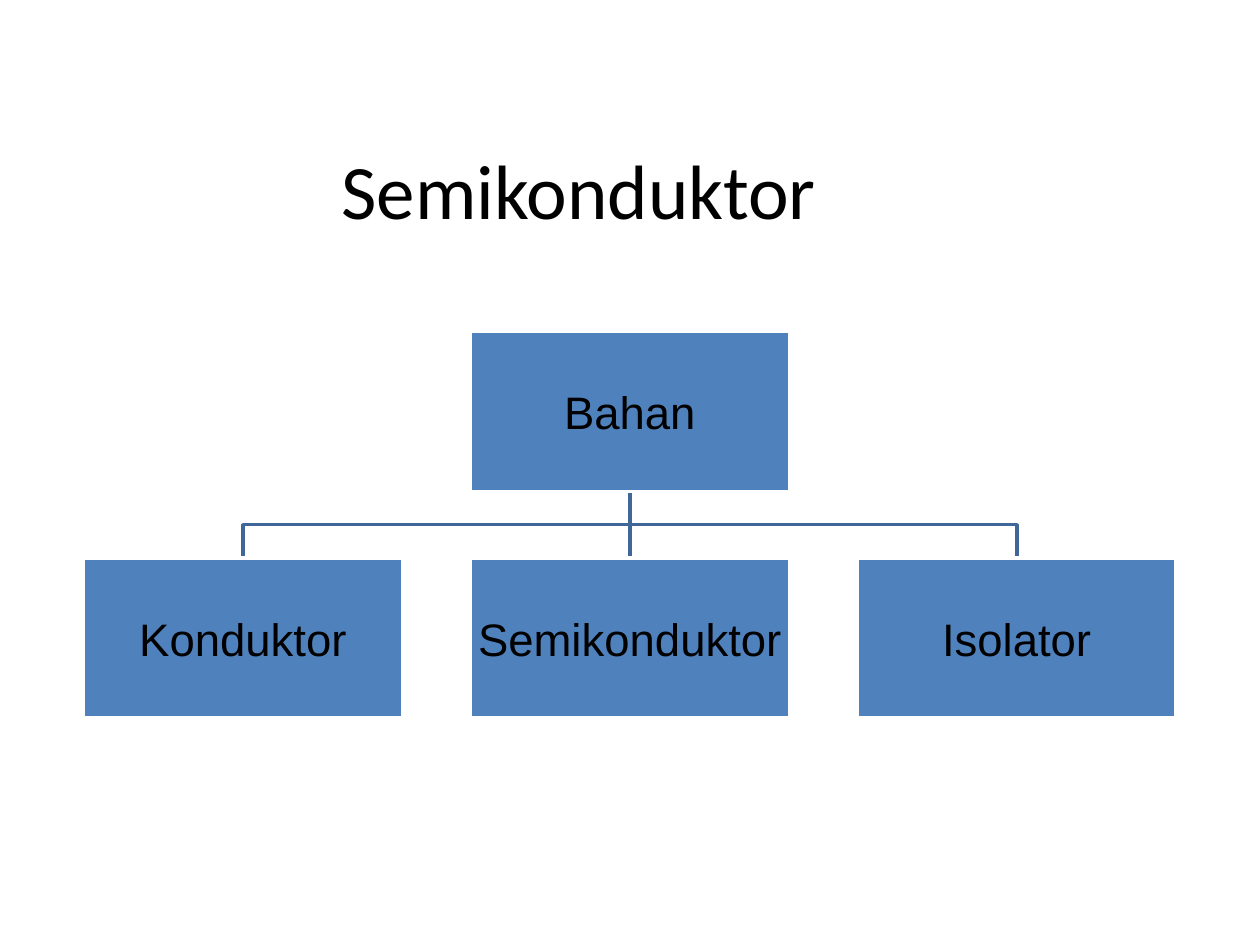
from lxml import etree
from pptx import Presentation
from pptx.dml.color import RGBColor
from pptx.enum.shapes import MSO_CONNECTOR, MSO_SHAPE
from pptx.enum.text import MSO_ANCHOR, PP_ALIGN
from pptx.oxml.ns import qn
from pptx.util import Inches, Pt

BLACK = RGBColor(0x00, 0x00, 0x00)
WHITE = RGBColor(0xFF, 0xFF, 0xFF)
BOX_BLUE = RGBColor(0x4F, 0x81, 0xBD)
LINE_BLUE = RGBColor(0x3F, 0x67, 0x97)

BOX_W, BOX_H = 2.53, 1.27
ROOT_TOP, CHILD_TOP = 2.63, 4.43
CENTER_X, STEP_X = 5, 3.07


def write_text(s, text, font, size, inset):
    tf = s.text_frame
    tf.text = text
    tf.word_wrap = True
    tf.vertical_anchor = MSO_ANCHOR.MIDDLE
    tf.margin_left = tf.margin_right = Inches(inset)
    tf.margin_top = tf.margin_bottom = Inches(inset)
    p = tf.paragraphs[0]
    p.alignment = PP_ALIGN.CENTER
    f = p.runs[0].font
    f.name, f.size, f.color.rgb = font, Pt(size), BLACK


def add_title(slide, text):
    s = slide.shapes.add_textbox(Inches(0.21), Inches(1), Inches(8.77), Inches(1))
    write_text(s, text, "Calibri", 44, 0.05)


def add_box(slide, text, center_x, top):
    s = slide.shapes.add_shape(
        MSO_SHAPE.RECTANGLE, Inches(center_x - BOX_W / 2), Inches(top),
        Inches(BOX_W), Inches(BOX_H))
    s.shadow.inherit = False
    s.fill.solid()
    s.fill.fore_color.rgb = BOX_BLUE
    s.line.color.rgb = WHITE
    s.line.width = Pt(2)
    write_text(s, text, "Arial", 26, 0.02)


def add_branch(slide, child_x):
    """Join the root's bottom edge to the top of a child box."""
    start, end = ROOT_TOP + BOX_H, CHILD_TOP
    if child_x == CENTER_X:
        s = slide.shapes.add_connector(
            MSO_CONNECTOR.STRAIGHT, Inches(CENTER_X), Inches(start),
            Inches(child_x), Inches(end))
        etree.SubElement(s._element.spPr, qn("a:effectLst"))
    else:
        mid = (start + end) / 2
        fb = slide.shapes.build_freeform(Inches(CENTER_X), Inches(start))
        points = [(CENTER_X, mid), (child_x, mid), (child_x, end)]
        fb.add_line_segments([(Inches(x), Inches(y)) for x, y in points], close=False)
        s = fb.convert_to_shape()
        s.shadow.inherit = False
        s.fill.background()
    s.line.color.rgb = LINE_BLUE
    s.line.width = Pt(2)


def main():
    prs = Presentation()
    prs.slide_width, prs.slide_height = Inches(10), Inches(7.5)
    slide = prs.slides.add_slide(prs.slide_layouts[6])

    add_title(slide, "Semikonduktor")

    # Branches lie behind the boxes
    children = ["Konduktor", "Semikonduktor", "Isolator"]
    centers = [CENTER_X + (i - 1) * STEP_X for i in range(len(children))]
    for x in reversed(centers):
        add_branch(slide, x)

    # Root and its three kinds
    add_box(slide, "Bahan", CENTER_X, ROOT_TOP)
    for text, x in zip(children, centers):
        add_box(slide, text, x, CHILD_TOP)

    prs.save("out.pptx")


if __name__ == "__main__":
    main()
